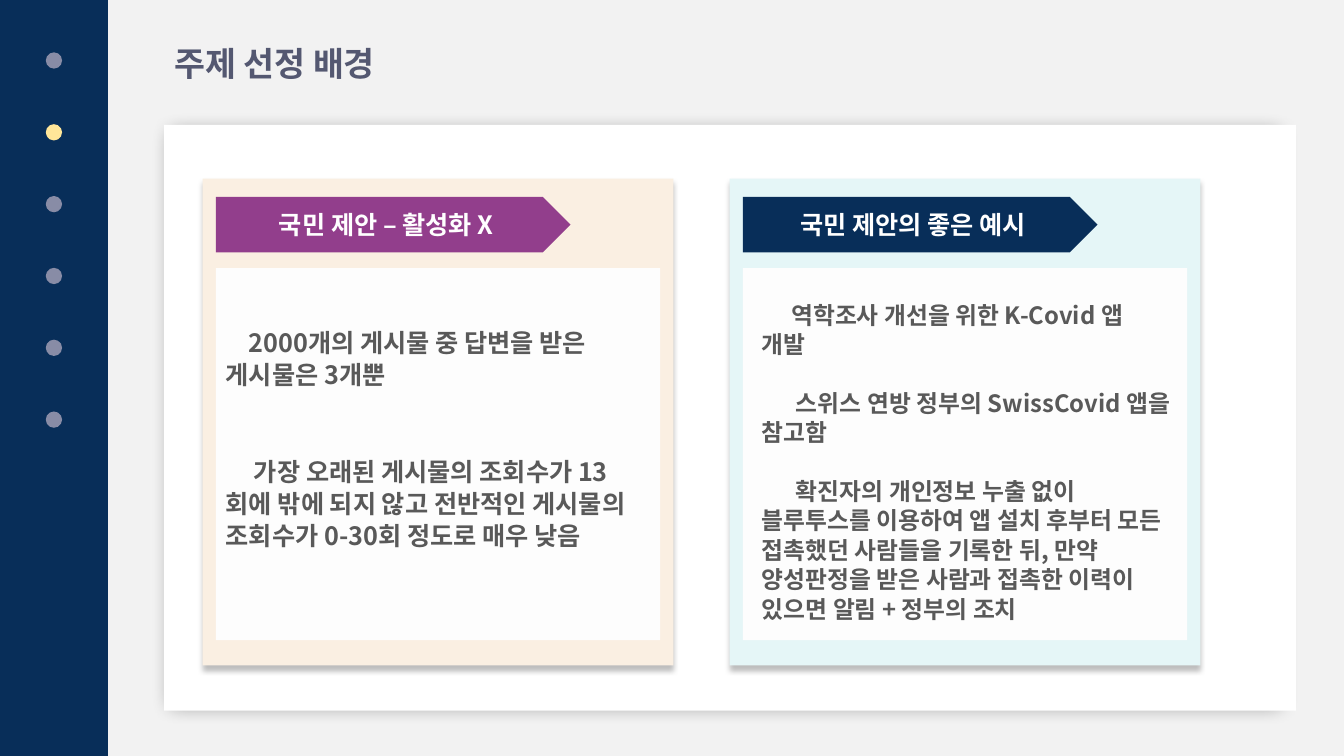
from dataclasses import dataclass

from lxml.etree import SubElement
from pptx import Presentation
from pptx.dml.color import RGBColor
from pptx.enum.shapes import MSO_SHAPE
from pptx.enum.text import MSO_ANCHOR, PP_ALIGN
from pptx.oxml.ns import qn
from pptx.util import Cm, Pt


@dataclass(frozen=True)
class Theme:
    font: str = "Noto Sans CJK KR"
    background: str = "F2F2F2"
    navy: str = "082E59"
    purple: str = "923E8C"
    dot: str = "888CA6"
    active_dot: str = "FFE699"
    title: str = "545871"
    body: str = "595959"
    white: str = "FFFFFF"
    paper: str = "FDFDFD"
    peach: str = "FAEFE2"
    mint: str = "E5F6F7"
    title_size: int = 24
    label_size: int = 18


THEME = Theme()


@dataclass(frozen=True)
class Notes:
    """Body text of a panel; each item is (first-line indent in cm, text)."""
    items: tuple
    offset: tuple
    size: int
    line: int
    gap: int


def add_block(slide, kind, left, top, width, height, color):
    shape = slide.shapes.add_shape(kind, Cm(left), Cm(top), Cm(width), Cm(height))
    shape.shadow.inherit = False
    shape.fill.solid()
    shape.fill.fore_color.rgb = RGBColor.from_string(color)
    shape.line.fill.background()
    return shape


def add_shadow(shape, alpha, blur, distance, angle, scale=100):
    effects = shape._element.spPr.find(qn("a:effectLst"))
    shadow = SubElement(
        effects, qn("a:outerShdw"), blurRad=str(Pt(blur)), dist=str(Pt(distance)),
        dir=str(angle * 60000), sx=str(scale * 1000), sy=str(scale * 1000),
        algn="tl", rotWithShape="0")
    color = SubElement(shadow, qn("a:srgbClr"), val="000000")
    SubElement(color, qn("a:alpha"), val=str(alpha * 1000))


def style(paragraph, size, color):
    font = paragraph.font
    font.name, font.size, font.bold = THEME.font, Pt(size), True
    font.color.rgb = RGBColor.from_string(color)
    defaults = paragraph._p.pPr.find(qn("a:defRPr"))
    SubElement(defaults, qn("a:ea"), typeface=THEME.font)


def add_text_frame(slide, left, top, width, height):
    box = slide.shapes.add_textbox(Cm(left), Cm(top), Cm(width), Cm(height))
    box.text_frame.word_wrap = True
    return box.text_frame


def add_title(slide, left, top, width, height, text):
    paragraph = add_text_frame(slide, left, top, width, height).paragraphs[0]
    paragraph.text = text
    paragraph.line_spacing = 1.5
    style(paragraph, THEME.title_size, THEME.title)


def add_sidebar(slide, left, top, width, height, count, active):
    add_block(slide, MSO_SHAPE.RECTANGLE, left, top, width, height, THEME.navy)
    size, first, pitch = 0.41, 1.32, 1.81
    for index in range(count):
        color = THEME.active_dot if index == active else THEME.dot
        add_block(slide, MSO_SHAPE.OVAL, left + (width - size) / 2,
                  top + first + index * pitch, size, size, color)


def add_notes(slide, left, top, width, height, notes):
    frame = add_text_frame(slide, left, top, width, height)
    for index, (indent, text) in enumerate(notes.items):
        paragraph = frame.paragraphs[0] if index == 0 else frame.add_paragraph()
        paragraph.text = text
        paragraph.line_spacing = Pt(notes.line)
        if index:
            paragraph.space_before = Pt(notes.gap)
        properties = paragraph._p.get_or_add_pPr()
        properties.set("marL", "0")
        properties.set("indent", str(Cm(indent)))
        style(paragraph, notes.size, THEME.body)


def add_panel(slide, left, top, width, height, fill, accent, label, notes):
    margin = 0.33
    panel = add_block(slide, MSO_SHAPE.RECTANGLE, left, top, width, height, fill)
    add_shadow(panel, 25, 4, 3, 90)

    # Arrow-shaped heading
    heading = add_block(slide, MSO_SHAPE.PENTAGON, left + margin, top + 0.46,
                        8.94, 1.4, accent)
    heading.text_frame.vertical_anchor = MSO_ANCHOR.MIDDLE
    paragraph = heading.text_frame.paragraphs[0]
    paragraph.text = label
    paragraph.alignment = PP_ALIGN.CENTER
    style(paragraph, THEME.label_size, THEME.white)

    # Paper and its text
    add_block(slide, MSO_SHAPE.RECTANGLE, left + margin, top + 2.26,
              width - 2 * margin, height - 2.9, THEME.paper)
    shift, drop = notes.offset
    add_notes(slide, left + shift, top + drop, 10.8, height - drop - 0.64, notes)


def add_card(slide, left, top, width, height):
    card = add_block(slide, MSO_SHAPE.RECTANGLE, left, top, width, height, THEME.white)
    add_shadow(card, 40, 14, 7, 45, scale=98)

    problem = Notes((
        (0.58, "2000개의 게시물 중 답변을 받은 게시물은 3개뿐"),
        (0.71, "가장 오래된 게시물의 조회수가 13회에 밖에 되지 않고 "
               "전반적인 게시물의 조회수가 0-30회 정도로 매우 낮음"),
    ), offset=(0.33, 3.58), size=18, line=23, gap=46)
    example = Notes((
        (0.74, "역학조사 개선을 위한 K-Covid 앱 개발"),
        (0.86, "스위스 연방 정부의 SwissCovid 앱을 참고함"),
        (0.86, "확진자의 개인정보 누출 없이 블루투스를 이용하여 앱 설치 후부터 "
               "모든 접촉했던 사람들을 기록한 뒤, 만약 양성판정을 받은 사람과 "
               "접촉한 이력이 있으면 알림 + 정부의 조치"),
    ), offset=(0.56, 2.92), size=17, line=21, gap=21)

    panels = (
        (THEME.peach, THEME.purple, "국민 제안 – 활성화 X", problem),
        (THEME.mint, THEME.navy, "국민 제안의 좋은 예시", example),
    )
    for index, content in enumerate(panels):
        add_panel(slide, left + 0.97 + index * 13.28, top + 1.35,
                  11.86, 12.27, *content)


def main():
    presentation = Presentation()
    presentation.slide_width, presentation.slide_height = Cm(33.87), Cm(19.05)
    slide = presentation.slides.add_slide(presentation.slide_layouts[6])
    slide.background.fill.solid()
    slide.background.fill.fore_color.rgb = RGBColor.from_string(THEME.background)

    add_title(slide, 4.14, 0.46, 15.32, 1.6, "주제 선정 배경")
    add_sidebar(slide, 0, 0, 2.72, 19.05, count=6, active=1)
    add_card(slide, 4.14, 3.15, 28.52, 14.76)
    presentation.save("out.pptx")


if __name__ == "__main__":
    main()
